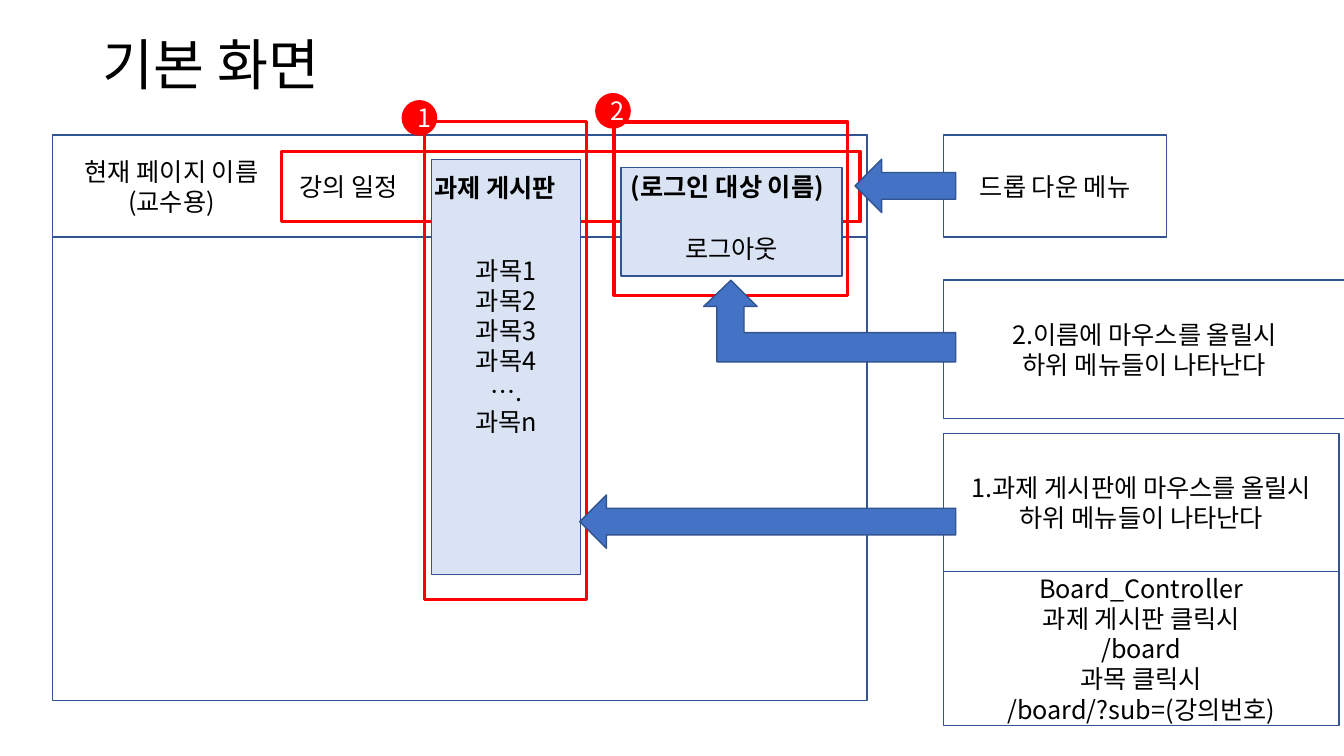
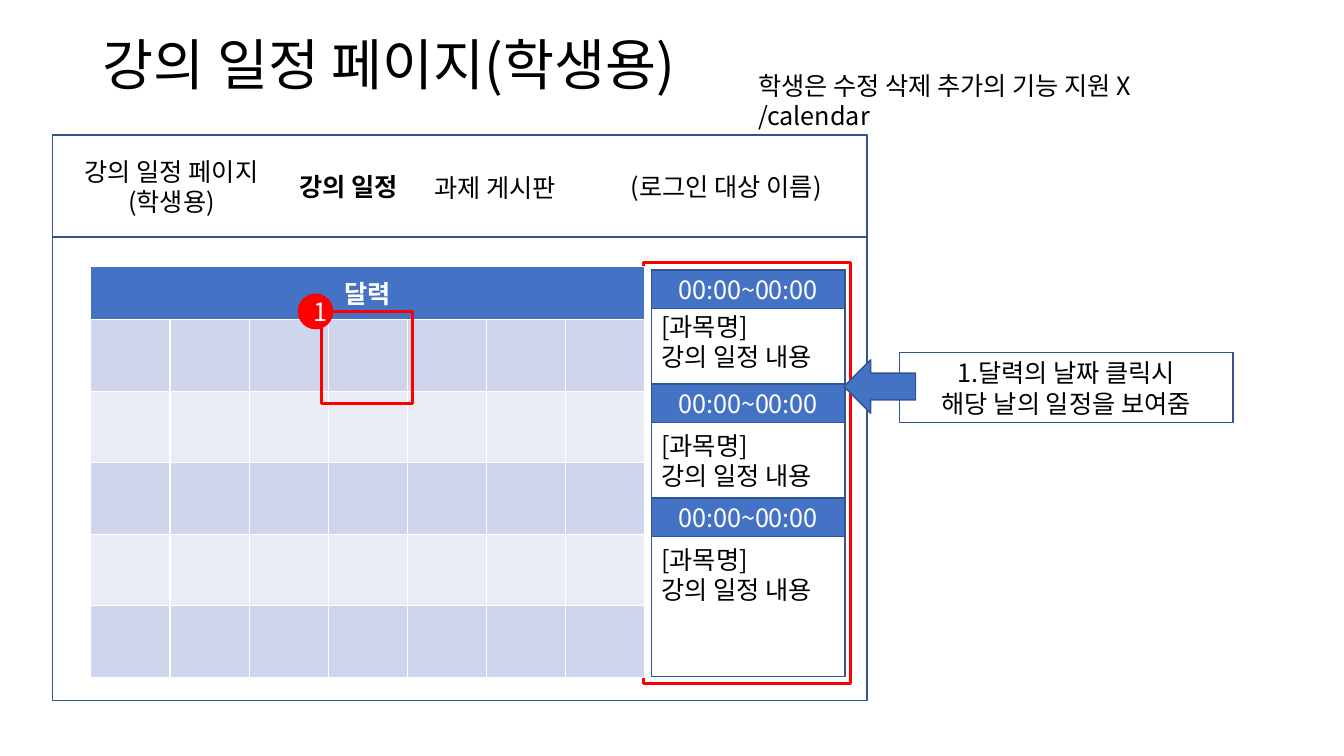
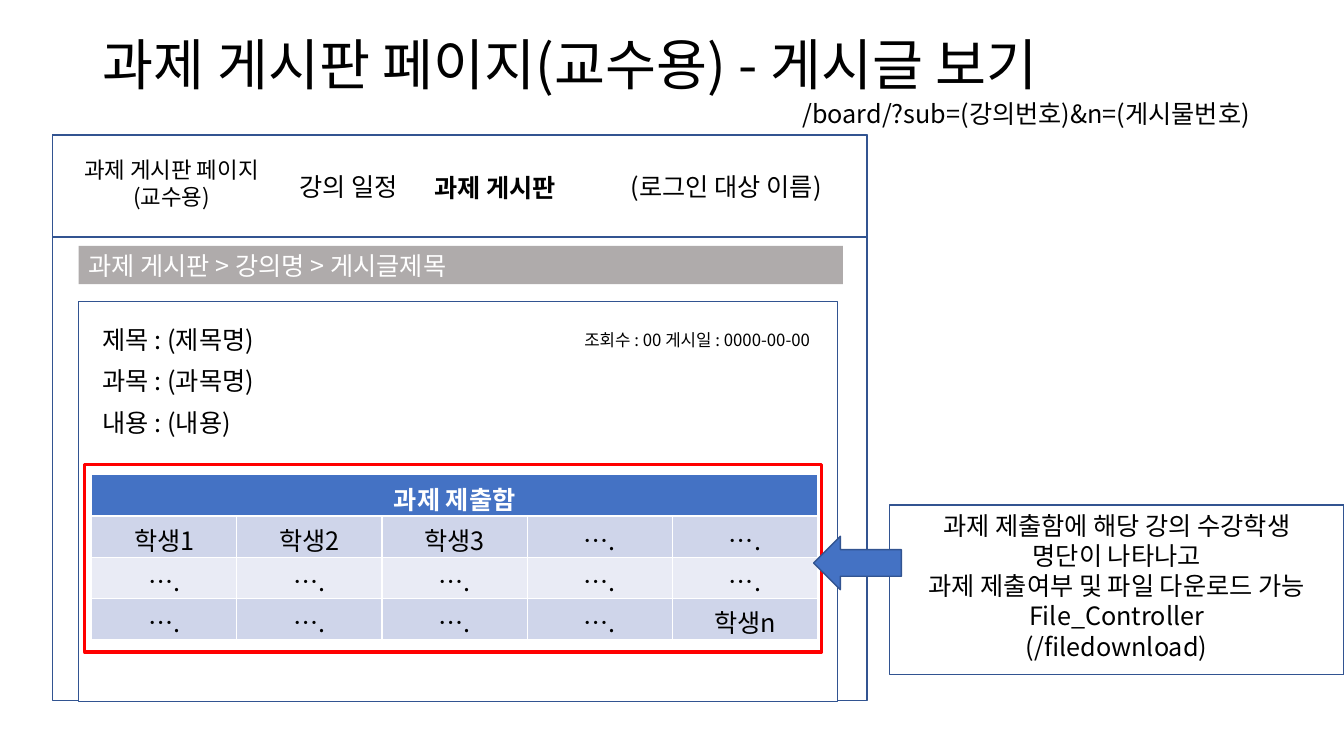
from pptx import Presentation
from pptx.dml.color import RGBColor
from pptx.enum.shapes import MSO_SHAPE
from pptx.enum.text import MSO_ANCHOR, PP_ALIGN
from pptx.oxml.ns import qn
from pptx.util import Inches, Pt
from lxml.etree import SubElement

# Shared style
FONT = "Noto Sans CJK KR"
BLACK = RGBColor(0x00, 0x00, 0x00)
WHITE = RGBColor(0xFF, 0xFF, 0xFF)
BLUE = RGBColor(0x44, 0x72, 0xC4)
OUTLINE = RGBColor(0x32, 0x54, 0x91)
PANEL = RGBColor(0xDA, 0xE3, 0xF3)
RED = RGBColor(0xFF, 0x00, 0x00)
GRAY = RGBColor(0xAF, 0xAB, 0xAB)
BANDS = (RGBColor(0xCF, 0xD5, 0xEA), RGBColor(0xE9, 0xEB, 0xF5))

# Navigation labels shown in every window: text, left, top, width
NAV = (
    ("강의 일정", 2.87, 1.65, 1.34),
    ("과제 게시판", 4.21, 1.66, 1.66),
    ("(로그인 대상 이름)", 6.16, 1.65, 2.32),
)


def write(tf, text, size=18, color=BLACK, bold=False, align=PP_ALIGN.LEFT,
          anchor=MSO_ANCHOR.TOP):
    tf.text = text
    tf.word_wrap = True
    tf.vertical_anchor = anchor
    for p in tf.paragraphs:
        p.alignment = align
        for r in p.runs:
            r.font.name = FONT
            r.font.size = Pt(size)
            r.font.bold = bold
            r.font.color.rgb = color
            SubElement(r.font._element, qn("a:ea"), typeface=FONT)


def label(s, x, y, w, h, text, **style):
    tf = s.shapes.add_textbox(Inches(x), Inches(y), Inches(w), Inches(h)).text_frame
    write(tf, text, **style)
    return tf


def paint(sp, fill, line, width=1):
    sp.shadow.inherit = False
    if fill is None:
        sp.fill.background()
    else:
        sp.fill.solid()
        sp.fill.fore_color.rgb = fill
    if line is None:
        sp.line.fill.background()
    else:
        sp.line.color.rgb = line
        sp.line.width = Pt(width)


def box(s, x, y, w, h, text="", fill=WHITE, line=OUTLINE, width=1,
        shape=MSO_SHAPE.RECTANGLE, align=PP_ALIGN.CENTER,
        anchor=MSO_ANCHOR.MIDDLE, **style):
    sp = s.shapes.add_shape(shape, Inches(x), Inches(y), Inches(w), Inches(h))
    paint(sp, fill, line, width)
    if text:
        write(sp.text_frame, text, align=align, anchor=anchor, **style)
    return sp


def highlight(s, x, y, w, h):
    box(s, x, y, w, h, fill=None, line=RED, width=2.25)


def badge(s, x, y, number):
    box(s, x, y, 0.34, 0.34, number, fill=RED, line=RED,
        shape=MSO_SHAPE.OVAL, color=WHITE)


def left_arrow(s, x, y, w):
    box(s, x, y, w, 0.53, fill=BLUE, shape=MSO_SHAPE.LEFT_ARROW)


def elbow_arrow(s, points):
    start, *rest = [(Inches(x), Inches(y)) for x, y in points]
    outline = s.shapes.build_freeform(*start)
    outline.add_line_segments(rest, close=True)
    paint(outline.convert_to_shape(), BLUE, OUTLINE)


def menu(s, x, y, w, h, top, text):
    sp = box(s, x, y, w, h, text, fill=PANEL, anchor=MSO_ANCHOR.TOP)
    sp.text_frame.margin_top = Inches(top)


def window(prs, title):
    """Blank slide with its title and an empty page window."""
    s = prs.slides.add_slide(prs.slide_layouts[6])
    tf = label(s, 0.92, 0.4, 11.5, 0.54, title, size=39.6, anchor=MSO_ANCHOR.MIDDLE)
    tf.paragraphs[0].line_spacing = 0.9
    box(s, 0.52, 1.34, 8.08, 5.61)
    box(s, 0.52, 1.34, 8.08, 1.01, fill=None)
    return s


def navigation(s, page, active, size=18):
    label(s, 0.59, 1.5, 2.22, 0.71, page, size=size, align=PP_ALIGN.CENTER)
    for text, x, y, w in NAV:
        label(s, x, y, w, 0.4, text, bold=text in active)


def banded_table(s, x, y, w, heights, heading, rows, heading_anchor):
    """Table with one merged heading row above banded rows."""
    cols = len(rows[0])
    table = s.shapes.add_table(len(heights), cols, Inches(x), Inches(y),
                               Inches(w), Inches(sum(heights))).table
    for row, height in zip(table.rows, heights):
        row.height = Inches(height)
    head = table.cell(0, 0)
    head.merge(table.cell(0, cols - 1))
    head.fill.solid()
    head.fill.fore_color.rgb = BLUE
    write(head.text_frame, heading, color=WHITE, bold=True, align=PP_ALIGN.CENTER)
    head.vertical_anchor = heading_anchor
    for i, texts in enumerate(rows):
        for j, text in enumerate(texts):
            cell = table.cell(i + 1, j)
            cell.fill.solid()
            cell.fill.fore_color.rgb = BANDS[i % 2]
            if text:
                write(cell.text_frame, text, align=PP_ALIGN.CENTER)


def main_screen(prs):
    s = window(prs, "기본 화면")

    # Drop-down menus and their highlights
    highlight(s, 2.79, 1.5, 5.74, 0.7)
    highlight(s, 4.21, 1.21, 1.61, 4.74)
    menu(s, 4.28, 1.58, 1.48, 4.12, 0.95,
         "과목1\n과목2\n과목3\n과목4\n….\n과목n")
    menu(s, 6.16, 1.66, 2.19, 1.08, 0.65, "로그아웃")
    highlight(s, 6.09, 1.21, 2.32, 1.72)
    badge(s, 3.99, 1, "1")
    badge(s, 5.91, 0.93, "2")
    navigation(s, "현재 페이지 이름(교수용)", ("과제 게시판", "(로그인 대상 이름)"))

    # Explanations
    for y, w, h, text in (
        (1.34, 2.21, 1.01, "드롭 다운 메뉴"),
        (2.78, 3.98, 1.37, "2.이름에 마우스를 올릴시\n하위 메뉴들이 나타난다"),
        (4.3, 3.92, 1.37, "1.과제 게시판에 마우스를 올릴시\n하위 메뉴들이 나타난다"),
        (5.67, 3.92, 1.53, "Board_Controller\n과제 게시판 클릭시\n/board\n"
                           "과목 클릭시\n/board/?sub=(강의번호)"),
    ):
        box(s, 9.36, y, w, h, text)
    left_arrow(s, 8.48, 1.58, 1)
    left_arrow(s, 5.75, 4.91, 3.73)
    elbow_arrow(s, ((6.98, 3.04), (7.25, 2.78), (7.51, 3.04), (7.38, 3.04),
                    (7.38, 3.3), (9.48, 3.3), (9.48, 3.59), (7.11, 3.59),
                    (7.11, 3.04)))


def schedule_page(prs):
    s = window(prs, "강의 일정 페이지(학생용)")
    navigation(s, "강의 일정 페이지(학생용)", ("강의 일정",))
    label(s, 7.42, 0.65, 4.72, 0.71, "학생은 수정 삭제 추가의 기능 지원 X\n/calendar")

    # Schedule of the chosen day
    box(s, 6.46, 2.68, 1.92, 4.03)
    for i, text_top in enumerate((3.04, 4.22, 5.35)):
        box(s, 6.46, 2.68 + 1.13 * i, 1.92, 0.38, "00:00~00:00", fill=BLUE, color=WHITE)
        label(s, 6.46, text_top, 1.92, 0.71, "[과목명]\n강의 일정 내용")
    highlight(s, 6.38, 2.6, 2.06, 4.18)

    # Calendar
    banded_table(s, 0.9, 2.64, 5.5, [0.53] + [0.71] * 5, "달력",
                 [[""] * 7] * 5, MSO_ANCHOR.MIDDLE)
    highlight(s, 3.19, 3.09, 0.9, 0.91)
    badge(s, 2.96, 2.92, "1")

    # Explanation
    box(s, 8.92, 3.5, 3.31, 0.69, "1.달력의 날짜 클릭시\n해당 날의 일정을 보여줌",
        anchor=MSO_ANCHOR.TOP)
    left_arrow(s, 8.37, 3.57, 0.71)


def post_page(prs):
    s = window(prs, "과제 게시판 페이지(교수용) - 게시글 보기")
    navigation(s, "과제 게시판 페이지(교수용)", ("과제 게시판",), size=16)
    label(s, 7.86, 0.93, 5.61, 0.4, "/board/?sub=(강의번호)&n=(게시물번호)")

    # Post
    box(s, 0.78, 2.44, 7.58, 0.38, "과제 게시판 > 강의명 > 게시글제목",
        fill=GRAY, line=None, color=WHITE, align=PP_ALIGN.LEFT)
    box(s, 0.78, 2.99, 7.53, 3.97)
    for i, text in enumerate(("제목 : (제목명)", "과목 : (과목명)", "내용 : (내용)")):
        label(s, 0.92, 3.17 + 0.41 * i, 3, 0.4, text)
    label(s, 5.47, 3.22, 2.89, 0.3, "조회수 : 00 게시일 : 0000-00-00", size=12,
          align=PP_ALIGN.CENTER, anchor=MSO_ANCHOR.MIDDLE)

    # Submissions
    dots = "…."
    banded_table(s, 0.91, 4.71, 7.2, [0.41] * 4, "과제 제출함",
                 [["학생1", "학생2", "학생3", dots, dots],
                  [dots] * 5,
                  [dots] * 4 + ["학생n"]], MSO_ANCHOR.TOP)
    highlight(s, 0.84, 4.61, 7.31, 1.86)

    # Explanation
    box(s, 8.82, 5.01, 4.51, 1.68,
        "과제 제출함에 해당 강의 수강학생\n명단이 나타나고\n"
        "과제 제출여부 및 파일 다운로드 가능\nFile_Controller\n(/filedownload)",
        anchor=MSO_ANCHOR.TOP)
    left_arrow(s, 8.07, 5.32, 0.87)


def main():
    prs = Presentation()
    prs.slide_width = Inches(13.33)
    prs.slide_height = Inches(7.5)
    main_screen(prs)
    schedule_page(prs)
    post_page(prs)
    prs.save("out.pptx")


if __name__ == "__main__":
    main()
